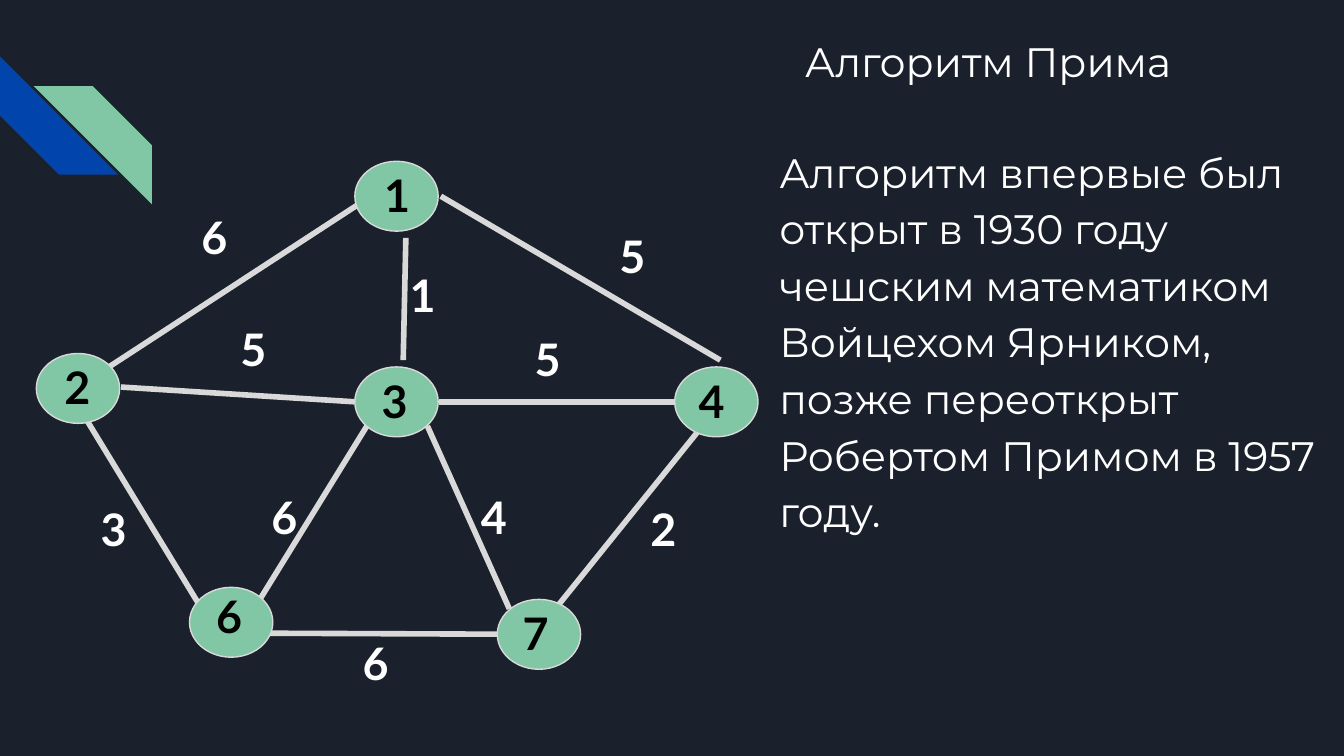
import pptx
import pptx.dml.color
import pptx.enum.shapes
import pptx.oxml.ns
import pptx.util
from lxml import etree
from pptx.util import Inches

COLORS = {
    "background": "1B212C",
    "blue": "0145AC",
    "green": "82C7A5",
    "edge": "D9D9D9",
    "node_text": "000000",
    "text": "FFFFFF",
}
SHAPES = pptx.enum.shapes.MSO_SHAPE


def rgb(name):
    return pptx.dml.color.RGBColor.from_string(COLORS[name])


def add_label(left, top, width, height, text, font, size, color, bold=False):
    label = slide.shapes.add_textbox(Inches(left), Inches(top), Inches(width), Inches(height))
    frame = label.text_frame
    frame.word_wrap = True
    frame.margin_left = frame.margin_right = Inches(0.1)
    frame.margin_top = frame.margin_bottom = Inches(0.1)
    frame.text = text
    run_font = frame.paragraphs[0].runs[0].font
    run_font.name = font
    run_font.size = pptx.util.Pt(size)
    run_font.bold = bold
    run_font.color.rgb = rgb(color)
    return frame.paragraphs[0]


# Widescreen 16:9 slide
presentation = pptx.Presentation()
presentation.slide_width = Inches(10)
presentation.slide_height = Inches(10 * 9 / 16)
slide = presentation.slides.add_slide(presentation.slide_layouts[6])
slide.background.fill.solid()
slide.background.fill.fore_color.rgb = rgb("background")

# Corner stripes
for left, top, rotation, color in [(0, 0.42, 270, "blue"), (0.25, 0.64, 90, "green")]:
    stripe = slide.shapes.add_shape(
        SHAPES.DIAGONAL_STRIPE, Inches(left), Inches(top), Inches(0.88), Inches(0.88))
    stripe.rotation = rotation
    stripe.shadow.inherit = False
    stripe.fill.solid()
    stripe.fill.fore_color.rgb = rgb(color)
    stripe.line.fill.background()

# Graph edges: start, end, weight, weight label position
edges = [
    ((0.55, 2.9), (2.76, 1.46), "6", (1.4, 1.46)),
    ((0.55, 2.97), (1.58, 4.66), "3", (0.65, 3.63)),
    ((3.28, 1.46), (5.36, 2.68), "5", (4.51, 1.6)),
    ((5.25, 3.14), (3.98, 4.72), "2", (4.74, 3.63)),
    ((1.58, 4.71), (3.9, 4.72), "6", (2.6, 4.63)),
    ((3, 2.68), (3.02, 1.77), "1", (2.95, 1.89)),
    ((1.94, 4.45), (2.73, 3.17), "6", (1.92, 3.54)),
    ((0.9, 2.88), (2.64, 2.99), "5", (1.69, 2.29)),
    ((3.27, 2.99), (5.02, 2.99), "5", (3.88, 2.37)),
    ((3.79, 4.53), (3.18, 3.17), "4", (3.48, 3.54)),
]
for start, end, weight, weight_at in edges:
    edge = slide.shapes.add_connector(
        pptx.enum.shapes.MSO_CONNECTOR.STRAIGHT, *map(Inches, start + end))
    edge.line.color.rgb = rgb("edge")
    edge.line.width = pptx.util.Pt(3)
    etree.SubElement(edge.element.spPr, pptx.oxml.ns.qn("a:effectLst"))

# Graph nodes: number, ellipse position, number position
nodes = [
    ("1", (2.64, 1.2), (2.76, 1.15)),
    ("4", (5.02, 2.73), (5.1, 2.68)),
    ("2", (0.27, 2.63), (0.38, 2.58)),
    ("6", (1.41, 4.37), (1.51, 4.28)),
    ("7", (3.7, 4.46), (3.79, 4.41)),
    ("3", (2.64, 2.73), (2.74, 2.68)),
]
for number, (left, top), number_at in nodes:
    node = slide.shapes.add_shape(
        SHAPES.OVAL, Inches(left), Inches(top), Inches(0.62), Inches(0.52))
    node.shadow.inherit = False
    node.fill.solid()
    node.fill.fore_color.rgb = rgb("green")
    node.line.color.rgb = rgb("edge")
    node.line.width = pptx.util.Pt(0.75)
    add_label(*number_at, 0.52, 0.62, number, "Lato", 24, "node_text", bold=True)

# Edge weights
for start, end, weight, weight_at in edges:
    add_label(*weight_at, 0.52, 0.62, weight, "Lato", 24, "text", bold=True)

# Title and description
add_label(5.89, 0.17, 3.44, 0.62, "Алгоритм Прима", "Montserrat", 22, "text")
history = add_label(
    5.7, 0.94, 4.3, 2.77,
    "Алгоритм впервые был открыт в 1930 году чешским математиком Войцехом Ярником, "
    "позже переоткрыт Робертом Примом в 1957 году.",
    "Montserrat", 22, "text")
history.line_spacing = 1.15

presentation.save("out.pptx")
